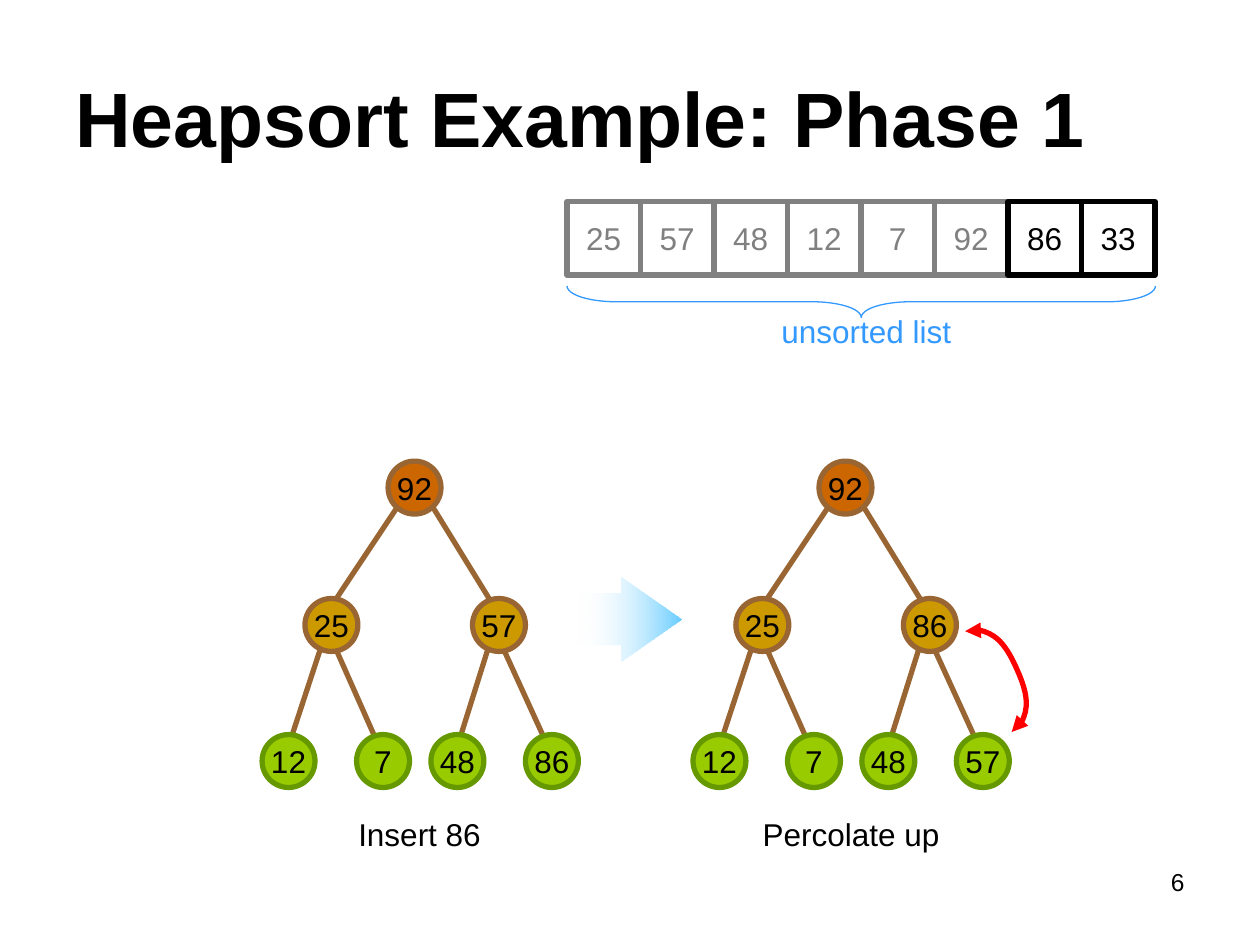
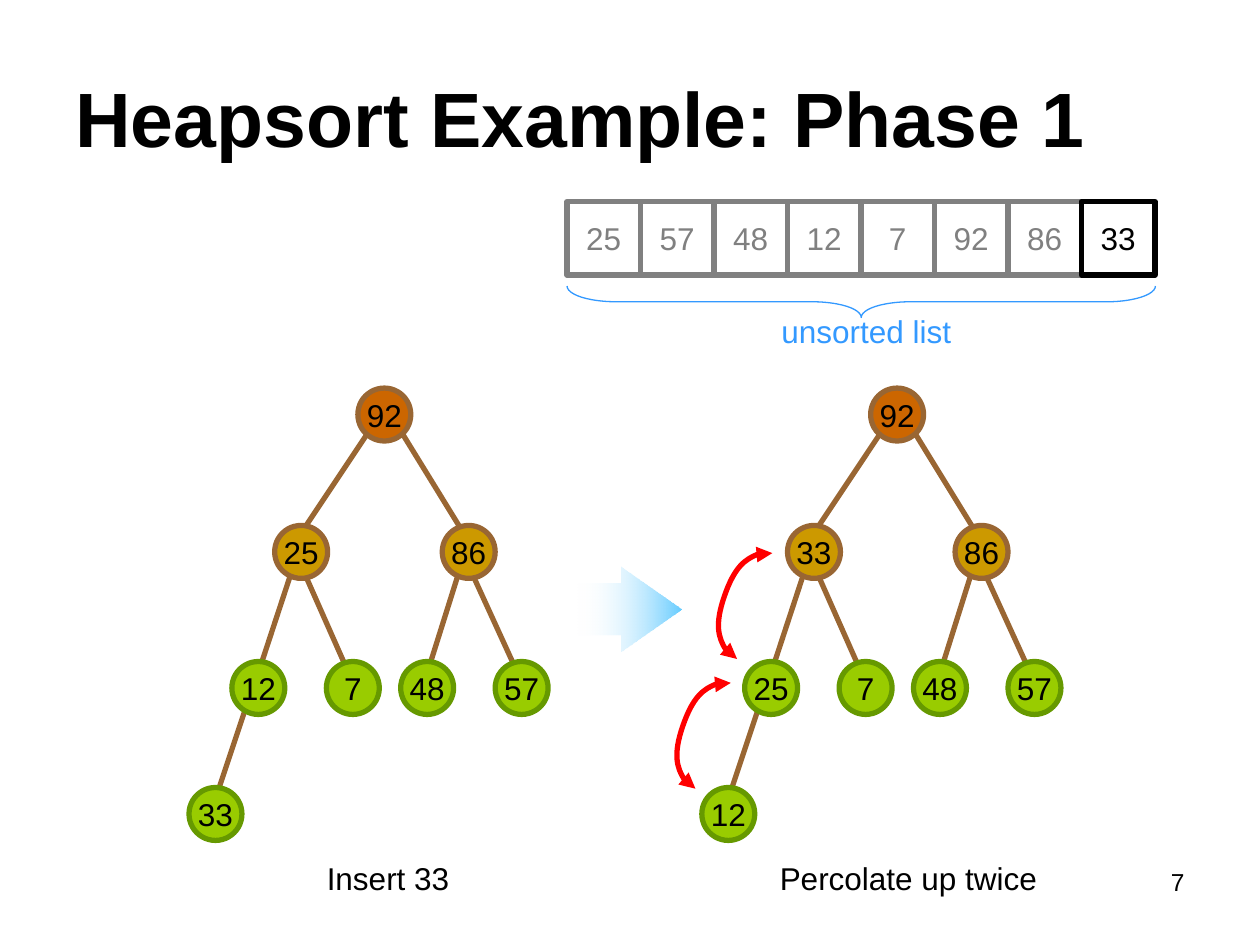
from lxml.etree import SubElement
from pptx import Presentation
from pptx.dml.color import RGBColor
from pptx.enum.shapes import MSO_CONNECTOR, MSO_SHAPE
from pptx.enum.text import MSO_ANCHOR, PP_ALIGN
from pptx.oxml.ns import qn
from pptx.util import Inches, Pt

COLORS = {
    "black": "000000",
    "white": "FFFFFF",
    "used": "808080",
    "brace": "3399FF",
    "branch": "996633",
    "root": "CC6600",
    "inner": "CC9900",
    "leaf": "99CC00",
    "leaf_edge": "669900",
    "swap": "FF0000",
    "arrow": "66CCFF",
}

UNSORTED = [25, 57, 48, 12, 7, 92, 86, 33]
CELL_SIZE = 7 / 12
NODE_SIZE = 0.42

# Offsets of heap nodes from the root, in level order
NODE_OFFSETS = [
    (0, 0),
    (-0.66, 1.09), (0.67, 1.09),
    (-1, 2.17), (-0.25, 2.17), (0.34, 2.17), (1.09, 2.17),
    (-1.34, 3.17),
]
NODE_STYLES = [("root", "branch"), ("inner", "branch"), ("leaf", "leaf_edge"), ("leaf", "leaf_edge")]
# Where branches leave a parent, by depth: x to left child, x to right child, y
BRANCH_STARTS = [(0.09, 0.34, 0.34), (0.12, 0.25, 0.41), (0.12, 0.25, 0.34)]
BRANCH_ENDS = (0.23, 0.15)

# Two Bezier segments each, relative to the first point
SWAP_RIGHT = [(0, 0), (0.13, -0.06), (0.14, -0.28), (0.04, -0.5),
              (-0.06, -0.73), (-0.24, -0.86), (-0.37, -0.8)]
SWAP_LEFT = [(0, 0), (-0.13, -0.04), (-0.3, 0.11), (-0.38, 0.34),
             (-0.46, 0.57), (-0.41, 0.8), (-0.28, 0.84)]

STEPS = [
    {
        "number": 6, "used": 6, "arrow_top": 4.58, "caption_top": 6.42,
        "heaps": [
            {"root": (3.08, 3.66), "values": [92, 25, 57, 12, 7, 48, 86],
             "caption": "Insert 86", "caption_span": (2.58, 1.5)},
            {"root": (6.5, 3.66), "values": [92, 25, 86, 12, 7, 48, 57],
             "caption": "Percolate up", "caption_span": (5.92, 1.67)},
        ],
        "swaps": [(8.03, 5.81, SWAP_RIGHT)],
    },
    {
        "number": 7, "used": 7, "arrow_top": 4.5, "caption_top": 6.77,
        "heaps": [
            {"root": (2.84, 3.08), "values": [92, 25, 86, 12, 7, 48, 57, 33],
             "caption": "Insert 33", "caption_span": (2.33, 1.5)},
            {"root": (6.91, 3.08), "values": [92, 33, 86, 25, 7, 48, 57, 12],
             "caption": "Percolate up twice", "caption_span": (6, 2.42)},
        ],
        "swaps": [(6.13, 4.39, SWAP_LEFT), (5.8, 5.42, SWAP_LEFT)],
    },
]


def write_text(shape, text, size=18, color="black", bold=False,
               align=PP_ALIGN.CENTER, anchor=MSO_ANCHOR.TOP, wrap=True):
    frame = shape.text_frame
    frame.word_wrap = wrap
    frame.vertical_anchor = anchor
    paragraph = frame.paragraphs[0]
    paragraph.text = str(text)
    paragraph.alignment = align
    paragraph.font.name = "Arial"
    paragraph.font.size = Pt(size)
    paragraph.font.bold = bold
    paragraph.font.color.rgb = RGBColor.from_string(COLORS[color])


def style_shape(shape, line, fill=None, width=3):
    """Set line and optional fill, and drop the theme shadow of a shape or connector."""
    shape.line.color.rgb = RGBColor.from_string(COLORS[line])
    shape.line.width = Pt(width)
    if fill:
        shape.fill.solid()
        shape.fill.fore_color.rgb = RGBColor.from_string(COLORS[fill])
    SubElement(shape._element.spPr, qn("a:effectLst"))


presentation = Presentation()
presentation.slide_width = Inches(10)
presentation.slide_height = Inches(7.5)

for step in STEPS:
    shapes = presentation.slides.add_slide(presentation.slide_layouts[6]).shapes

    # Title and slide number
    title = shapes.add_textbox(Inches(0.5), Inches(0.3), Inches(9), Inches(1.25))
    write_text(title, "Heapsort Example: Phase 1", size=44, bold=True,
               align=PP_ALIGN.LEFT, anchor=MSO_ANCHOR.MIDDLE)
    number = shapes.add_textbox(Inches(7.17), Inches(6.83), Inches(2.33), Inches(0.52))
    write_text(number, step["number"], size=14, align=PP_ALIGN.RIGHT)

    # Unsorted list with its brace
    for index, value in enumerate(UNSORTED):
        color = "used" if index < step["used"] else "black"
        cell = shapes.add_shape(MSO_SHAPE.RECTANGLE, Inches(4.5 + index * CELL_SIZE), Inches(1.6),
                                Inches(CELL_SIZE), Inches(CELL_SIZE))
        style_shape(cell, color, "white")
        write_text(cell, value, color=color, anchor=MSO_ANCHOR.MIDDLE, wrap=False)
    brace = shapes.add_shape(MSO_SHAPE.RIGHT_BRACE, Inches(6.71), Inches(0.06), Inches(0.25), Inches(4.67))
    brace.rotation = 90
    brace.adjustments[0] = 1.556
    brace.fill.background()
    style_shape(brace, "brace", width=0.75)
    list_label = shapes.add_textbox(Inches(6), Inches(2.43), Inches(1.75), Inches(0.4))
    write_text(list_label, "unsorted list", color="brace")

    # Heaps before and after
    for heap in step["heaps"]:
        root_x, root_y = heap["root"]
        nodes = [(root_x + x, root_y + y) for x, y in NODE_OFFSETS[:len(heap["values"])]]
        for index, (x, y) in enumerate(nodes[1:], start=1):
            parent = (index - 1) // 2
            parent_x, parent_y = nodes[parent]
            side = (index - 1) % 2
            start = BRANCH_STARTS[(parent + 1).bit_length() - 1]
            branch = shapes.add_connector(
                MSO_CONNECTOR.STRAIGHT,
                Inches(x + BRANCH_ENDS[side]), Inches(y + 0.03),
                Inches(parent_x + start[side]), Inches(parent_y + start[2]))
            style_shape(branch, "branch")
        for index, (x, y) in enumerate(nodes):
            fill, line = NODE_STYLES[(index + 1).bit_length() - 1]
            node = shapes.add_shape(MSO_SHAPE.OVAL, Inches(x), Inches(y), Inches(NODE_SIZE), Inches(NODE_SIZE))
            style_shape(node, line, fill)
            write_text(node, heap["values"][index], anchor=MSO_ANCHOR.MIDDLE, wrap=False)
        left, width = heap["caption_span"]
        caption = shapes.add_textbox(Inches(left), Inches(step["caption_top"]), Inches(width), Inches(0.4))
        write_text(caption, heap["caption"])

    # Curved double arrows between swapped nodes
    for left, top, curve in step["swaps"]:
        points = [(Inches(left + x), Inches(top + y)) for x, y in curve]
        builder = shapes.build_freeform(*points[0])
        builder.add_line_segments(points[1:], close=False)
        swap = builder.convert_to_shape()
        swap.fill.background()
        style_shape(swap, "swap")
        outline = swap._element.xpath(".//a:path")[0]
        segments = outline.findall(qn("a:lnTo"))
        for first in range(0, len(segments), 3):
            bezier = SubElement(outline, qn("a:cubicBezTo"))
            for segment in segments[first:first + 3]:
                bezier.append(segment[0])
                outline.remove(segment)
        line_element = swap._element.spPr.find(qn("a:ln"))
        for end in ("a:headEnd", "a:tailEnd"):
            SubElement(line_element, qn(end), type="triangle")

    # Fading arrow from the first heap to the second
    arrow = shapes.add_shape(MSO_SHAPE.RIGHT_ARROW, Inches(4.58), Inches(step["arrow_top"]),
                             Inches(0.83), Inches(0.67))
    arrow.shadow.inherit = False
    arrow.adjustments[0] = 0.604
    arrow.adjustments[1] = 0.724
    arrow.line.fill.background()
    arrow.fill.gradient()
    arrow.fill.gradient_angle = 0
    for stop, color in zip(arrow.fill.gradient_stops, ("white", "arrow")):
        stop.color.rgb = RGBColor.from_string(COLORS[color])
    clear_color = arrow._element.xpath(".//a:gs/a:srgbClr")[0]
    SubElement(clear_color, qn("a:alpha"), val="0")

presentation.save("out.pptx")
